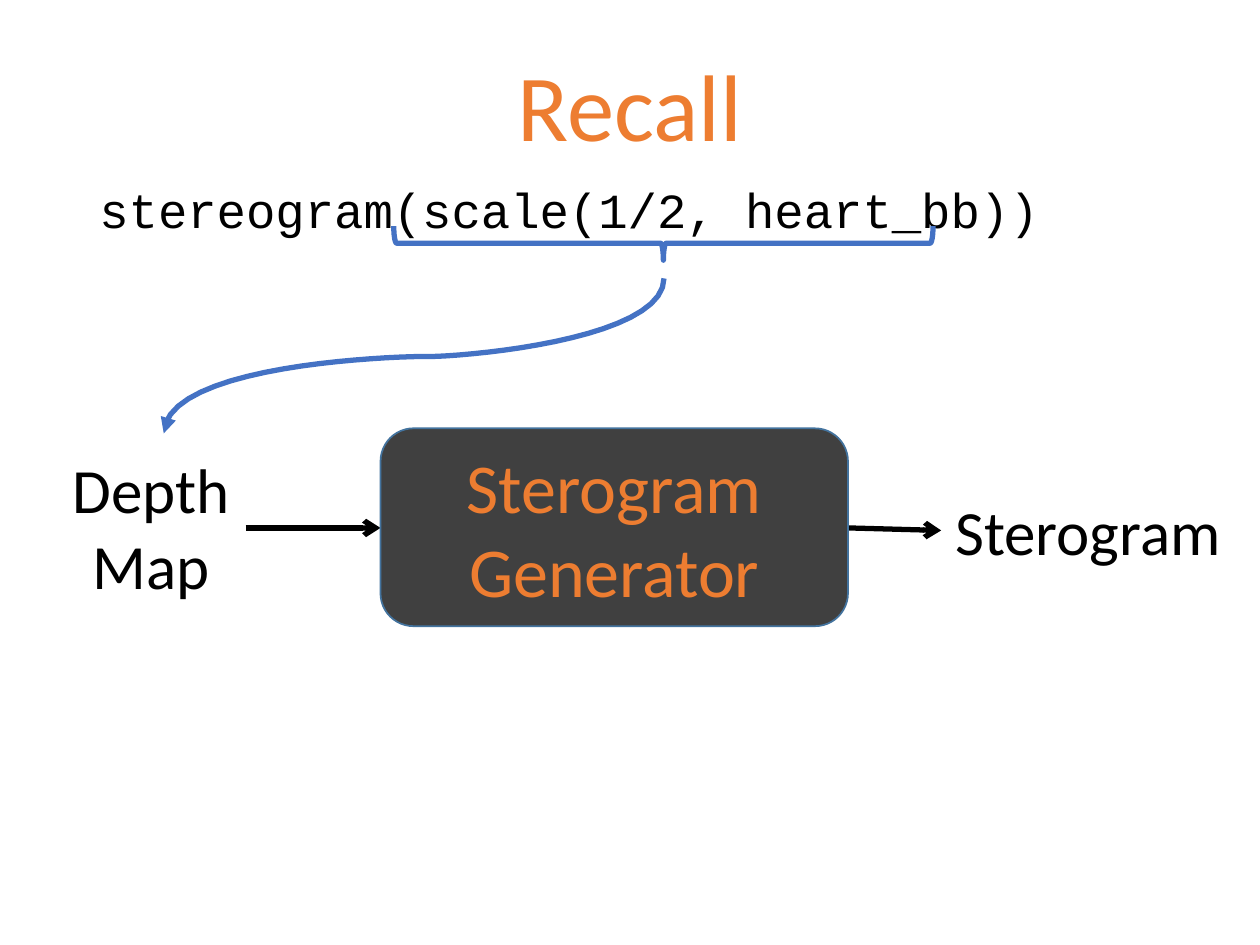
from pptx import Presentation
from pptx.dml.color import RGBColor
from pptx.enum.shapes import MSO_CONNECTOR as Connector, MSO_SHAPE as Shape
from pptx.enum.text import MSO_ANCHOR as Anchor, MSO_AUTO_SIZE as AutoSize, PP_ALIGN as Align
from pptx.oxml.ns import qn
from pptx.util import Inches, Pt
from lxml.etree import SubElement

COLORS = {"accent": "ED7D31", "ink": "000000", "box": "404040",
          "edge": "43739E", "pointer": "4472C4"}


def bezier(start, first, second, end, steps=20):
    for step in range(1, steps + 1):
        t = step / steps
        weights = ((1 - t) ** 3, 3 * t * (1 - t) ** 2, 3 * t ** 2 * (1 - t), t ** 3)
        yield tuple(sum(w * p[axis] for w, p in zip(weights, (start, first, second, end)))
                    for axis in (0, 1))


class Diagram:
    COLUMNS, ROWS = 100, 75
    SANS, MONO = "Calibri", "Courier New"
    STROKE = 3

    def __init__(self, deck):
        self.slide = deck.slides.add_slide(deck.slide_layouts[6])
        self.column = deck.slide_width / self.COLUMNS
        self.row = deck.slide_height / self.ROWS

    def point(self, x, y):
        return round(x * self.column), round(y * self.row)

    def area(self, x, y, width, height):
        return *self.point(x, y), *self.point(width, height)

    def fill_words(self, frame, words, size, color, font=SANS, align=Align.CENTER, spacing=1.0):
        frame.text = words
        for paragraph in frame.paragraphs:
            paragraph.alignment = align
            paragraph.line_spacing = spacing
            for run in paragraph.runs:
                run.font.name = font
                run.font.size = Pt(size)
                run.font.color.rgb = RGBColor.from_string(COLORS[color])

    def text(self, area, words, size, color="ink", anchor=Anchor.TOP, wrap=True, **style):
        frame = self.slide.shapes.add_textbox(*self.area(*area)).text_frame
        frame.word_wrap = wrap
        frame.auto_size = AutoSize.NONE if wrap else AutoSize.SHAPE_TO_FIT_TEXT
        frame.vertical_anchor = anchor
        self.fill_words(frame, words, size, color, **style)

    def stroke(self, item, color, width=STROKE, head=None):
        item.line.color.rgb = RGBColor.from_string(COLORS[color])
        item.line.width = Pt(width)
        if head:
            outline = item._element.spPr.find(qn("a:ln"))
            SubElement(outline, qn("a:tailEnd"), type=head)

    def arrow(self, start, end):
        link = self.slide.shapes.add_connector(
            Connector.STRAIGHT, *self.point(*start), *self.point(*end))
        self.stroke(link, "ink", head="arrow")
        SubElement(link._element.spPr, qn("a:effectLst"))

    def box(self, area, words, size):
        block = self.slide.shapes.add_shape(Shape.ROUNDED_RECTANGLE, *self.area(*area))
        block.shadow.inherit = False
        block.fill.solid()
        block.fill.fore_color.rgb = RGBColor.from_string(COLORS["box"])
        self.stroke(block, "edge", width=1)
        block.text_frame.word_wrap = True
        block.text_frame.vertical_anchor = Anchor.MIDDLE
        self.fill_words(block.text_frame, words, size, "accent")

    def brace(self, area):
        bracket = self.slide.shapes.add_shape(Shape.LEFT_BRACE, *self.area(*area))
        bracket.rotation = 270
        bracket.shadow.inherit = False
        bracket.fill.background()
        self.stroke(bracket, "pointer")

    def curve(self, start, *segments):
        builder = self.slide.shapes.build_freeform(*self.point(*start))
        for segment in segments:
            builder.add_line_segments(
                [self.point(*spot) for spot in bezier(start, *segment)], close=False)
            start = segment[-1]
        sweep = builder.convert_to_shape()
        sweep.shadow.inherit = False
        sweep.fill.background()
        self.stroke(sweep, "pointer", head="triangle")


def main():
    deck = Presentation()
    deck.slide_width, deck.slide_height = Inches(10), Inches(7.5)
    diagram = Diagram(deck)

    diagram.text((6.9, 4, 86.2, 9.6), "Recall", 54, "accent",
                 anchor=Anchor.MIDDLE, spacing=0.9)
    diagram.text((6.9, 14.3, 86.2, 53.2), "stereogram(scale(1/2, heart_bb))", 28,
                 font=Diagram.MONO, align=Align.LEFT, spacing=0.9)

    diagram.arrow((19.5, 41.9), (30.2, 41.9))
    diagram.arrow((67.3, 41.9), (74.7, 42.1))
    diagram.text((4.7, 35.3, 14.6, 13.1), "Depth\nMap", 36, wrap=False)
    diagram.box((30.2, 34, 37.1, 15.7), "Sterogram Generator", 40)
    diagram.text((74.7, 38.6, 23.3, 7.1), "Sterogram", 36, wrap=False)

    diagram.brace((51.3, -2.1, 2.7, 42.8))
    diagram.curve((52.7, 22.1),
                  ((52.7, 27.1), (36, 28.4), (33.6, 28.3)),
                  ((31.3, 28.3), (13.1, 28.9), (13, 34.4)))

    deck.save("out.pptx")


if __name__ == "__main__":
    main()
